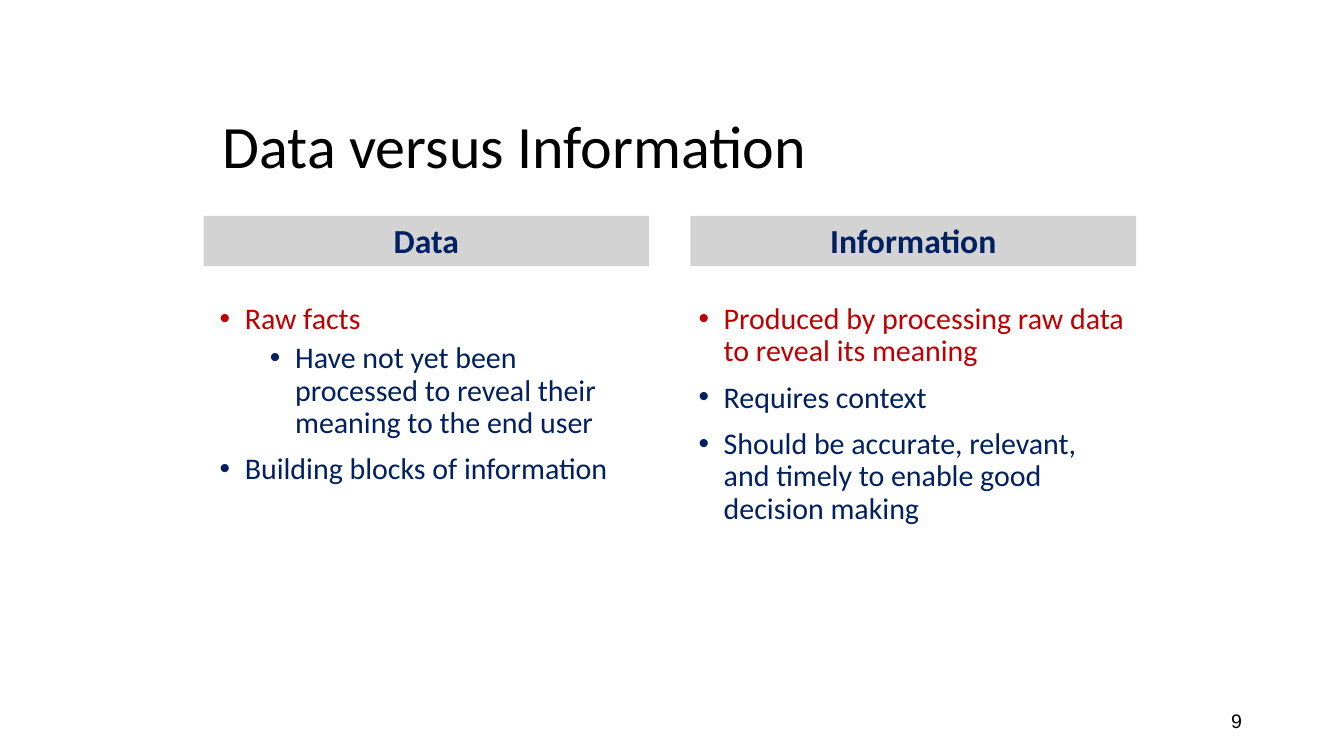
"""Build the slide that compares data with information."""
from dataclasses import dataclass

from lxml.etree import SubElement
from pptx import Presentation
from pptx.dml.color import RGBColor
from pptx.enum.text import MSO_ANCHOR as Anchor, MSO_AUTO_SIZE as AutoSize, PP_ALIGN as Align
from pptx.oxml.ns import qn
from pptx.util import Cm, Pt

BLACK = RGBColor(0x00, 0x00, 0x00)
NAVY = RGBColor(0x00, 0x20, 0x60)
RED = RGBColor(0xC0, 0x00, 0x00)
GREY = RGBColor(0x52, 0x52, 0x52)
HEADING_OPACITY = "25000"
COLUMN_WIDTH = 11.23


@dataclass(frozen=True)
class Item:
    text: str
    color: RGBColor = NAVY
    level: int = 0


@dataclass(frozen=True)
class Column:
    heading: str
    heading_left: float
    list_left: float
    heading_holder: int
    list_holder: int
    items: tuple[Item, ...]


COLUMNS = (
    Column("Data", 5.13, 5.28, 1, 2, (
        Item("Raw facts", RED),
        Item("Have not yet been processed to reveal their meaning to the end user", level=1),
        Item("Building blocks of information"),
    )),
    Column("Information", 17.4, 17.35, 3, 4, (
        Item("Produced by processing raw data to reveal its meaning", RED),
        Item("Requires context"),
        Item("Should be accurate, relevant, and timely to enable good decision making"),
    )),
)


def place(box, left: float, top: float, width: float, height: float, anchor: Anchor) -> None:
    box.left, box.top, box.width, box.height = map(Cm, (left, top, width, height))
    frame = box.text_frame
    frame.word_wrap = True
    frame.auto_size = AutoSize.NONE
    frame.vertical_anchor = anchor


def add_bullet(para, level: int) -> None:
    para.level = level
    properties = para._p.get_or_add_pPr()
    properties.set("marL", str(Cm(0.635 + 1.27 * level)))
    properties.set("indent", str(-Cm(0.635)))
    SubElement(properties, qn("a:buFont"), typeface="Arial")
    SubElement(properties, qn("a:buChar"), char="•")


def write(para, text: str, *, size: float, color: RGBColor, font: str = "Calibri",
          bold: bool = False, align: Align = Align.LEFT, line: float = 0.9,
          before: float = 0) -> None:
    para.alignment = align
    para.line_spacing = line
    para.space_before = Pt(before)
    span = para.add_run()
    span.text = text
    span.font.name = font
    span.font.size = Pt(size)
    span.font.bold = bold
    span.font.color.rgb = color


def draw_heading(box, column: Column) -> None:
    place(box, column.heading_left, 5.44, COLUMN_WIDTH, 1.27, Anchor.BOTTOM)
    box.fill.solid()
    box.fill.fore_color.rgb = GREY
    tint = box._element.spPr.find(qn("a:solidFill"))[0]
    SubElement(tint, qn("a:alpha"), val=HEADING_OPACITY)
    write(box.text_frame.paragraphs[0], column.heading, size=24, color=NAVY,
          bold=True, align=Align.CENTER)


def draw_list(box, column: Column) -> None:
    place(box, column.list_left, 7.52, COLUMN_WIDTH, 10.8, Anchor.TOP)
    frame = box.text_frame
    for index, item in enumerate(column.items):
        para = frame.add_paragraph() if index else frame.paragraphs[0]
        add_bullet(para, item.level)
        before = (5 if item.level else 10) if index else 0
        write(para, item.text, size=21.4, color=item.color, before=before)


def main() -> None:
    deck = Presentation()
    deck.slide_width, deck.slide_height = Cm(33.87), Cm(19.05)
    page = deck.slides.add_slide(deck.slide_layouts.get_by_name("Comparison"))
    holders = page.placeholders

    title = page.shapes.title
    place(title, 5.36, 2.26, 23.29, 2.97, Anchor.MIDDLE)
    write(title.text_frame.paragraphs[0], "Data versus Information", size=42.9, color=BLACK)

    for column in COLUMNS:
        draw_heading(holders[column.heading_holder], column)
        draw_list(holders[column.list_holder], column)

    number = page.shapes.add_textbox(0, 0, 0, 0)
    place(number, 23.93, 17.65, 7.62, 1.02, Anchor.MIDDLE)
    write(number.text_frame.paragraphs[0], "9", size=14, color=BLACK, font="Arial",
          align=Align.RIGHT, line=1.0)

    deck.save("out.pptx")


if __name__ == "__main__":
    main()
